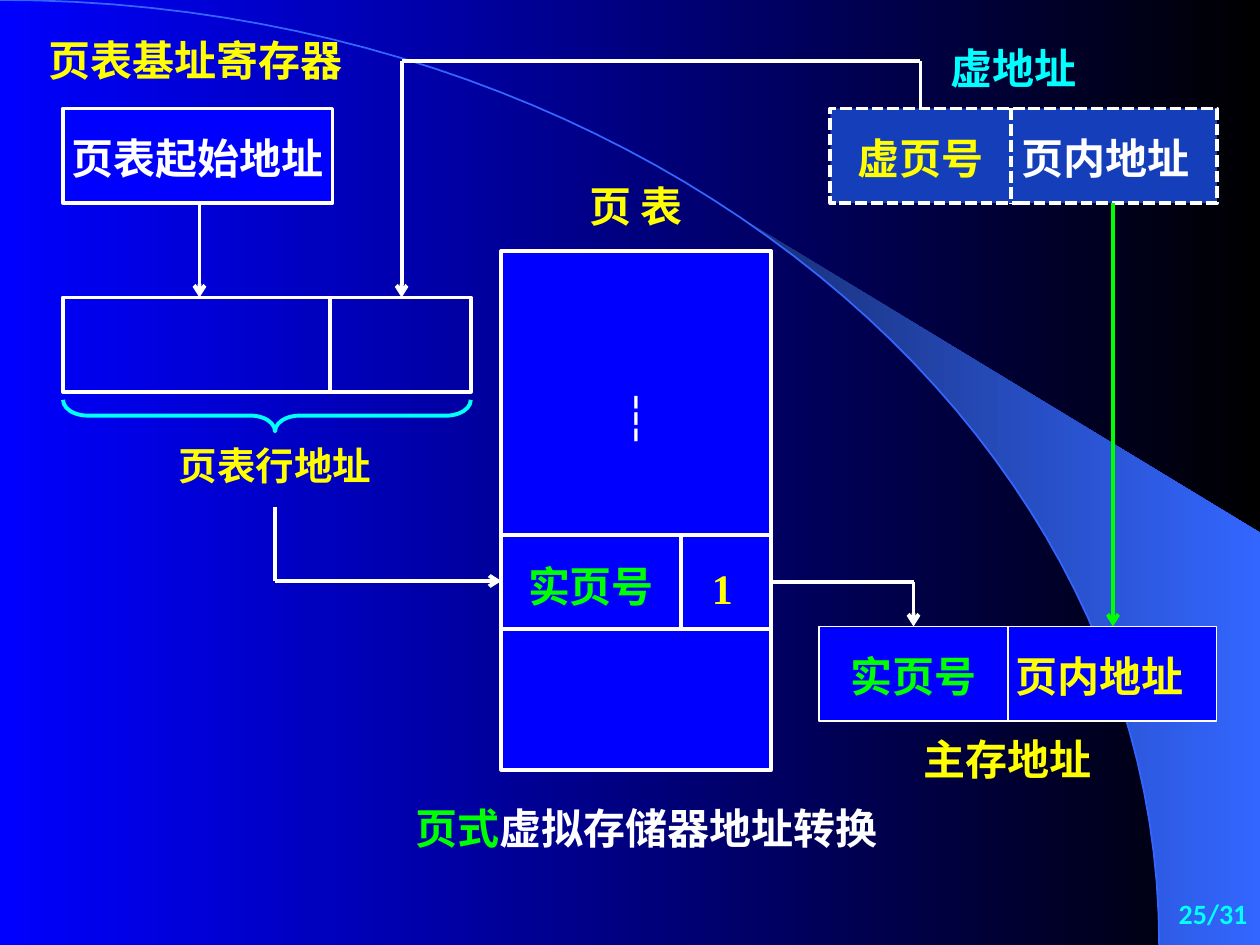
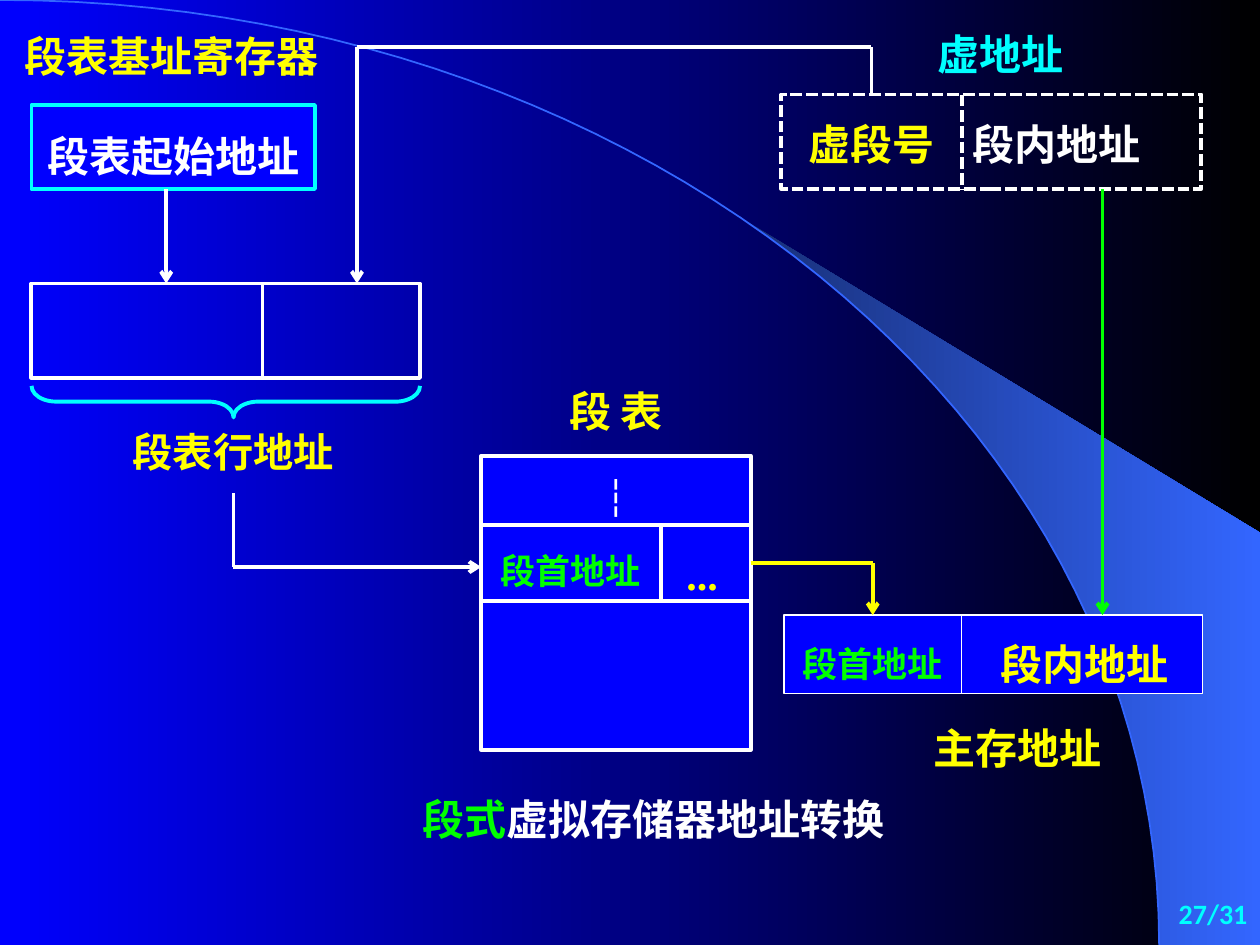
from lxml.etree import SubElement
from pptx import Presentation
from pptx.dml.color import RGBColor as RGB
from pptx.enum.dml import MSO_LINE
from pptx.enum.shapes import MSO_CONNECTOR, MSO_SHAPE
from pptx.enum.text import MSO_ANCHOR, MSO_AUTO_SIZE, PP_ALIGN
from pptx.oxml.ns import qn
from pptx.util import Pt


class Theme:
    blue, black, white = RGB(0, 0, 255), RGB(0, 0, 0), RGB(255, 255, 255)
    yellow, cyan, green = RGB(255, 255, 0), RGB(0, 255, 255), RGB(0, 255, 0)
    sky = RGB.from_string("3366FF")
    navy = RGB.from_string("182F76")
    steel = RGB.from_string("153FBA")
    latin, han, digits = "Times New Roman", "Noto Sans CJK SC", "Calibri"
    big, small, folio = 24, 20, 16
    thick, thin = Pt(2.25), Pt(0.75)


T = Theme
WIDE, HIGH = 720, 540
CELL = 54  # height of an address field, and the gap below the register

# Places are left, top, width, height; splits and taps are x positions
PAGES = [
    dict(kind="页", entry="实页号", flag="1", folio="25/31", title=(369.5, 473),
         reg=(36, 62, 154, CELL), edge=T.white, sum_wide=233, sum_split=188.5,
         virt=(474.5, 62, 221, CELL), tint=T.steel, split=577.5, virt_name=579,
         table=(286.5, 143.5, 154, 296.5), row=(305.5, 359.5), row_split=389, dots=238,
         real=(468, 358, 227, CELL), real_split=576, real_name=(575.5, 433.5),
         taps=(114, 229.5, 636), drop=1, sink=2, shift=-7,
         entry_size=T.big, line_size=22, dots_size=T.big),
    dict(kind="段", entry="段首地址", flag="...", folio="27/31", title=(373.5, 468),
         reg=(18, 60, 162, 48), edge=T.cyan, sum_wide=222, sum_split=150,
         virt=(446.5, 54, 240, CELL), tint=None, split=549.5, virt_name=572,
         table=(275, 260.5, 154, 168), row=(300, 343.5), row_split=377.5, dots=284,
         real=(448, 351.5, 239, 45), real_split=549.5, real_name=(581.5, 427.5),
         taps=(95, 204, 630), drop=5, sink=4.5, shift=1.5,
         entry_size=T.small, line_size=23, dots_size=T.small),
]


def put(shape, text, colour, size, right=0, down=0, font=T.latin):
    """Write one centred bold paragraph, shifted by uneven margins."""
    frame = shape.text_frame
    frame.auto_size = MSO_AUTO_SIZE.NONE
    frame.word_wrap = True
    frame.vertical_anchor = MSO_ANCHOR.MIDDLE
    frame.margin_left, frame.margin_right = Pt(max(0, 2 * right)), Pt(max(0, -2 * right))
    frame.margin_top, frame.margin_bottom = Pt(2 * down), 0
    para = frame.paragraphs[0]
    para.alignment = PP_ALIGN.CENTER
    para.add_run().text = text
    para.font.size, para.font.bold, para.font.name = Pt(size), True, font
    para.font.color.rgb = colour
    SubElement(para.font._element, qn("a:ea"), typeface=T.han)
    return para


def link(shapes, colour, mark, *spots):
    """Join the points with straight lines; an arrow ends the last one."""
    for start, end in zip(spots, spots[1:]):
        line = shapes.add_connector(MSO_CONNECTOR.STRAIGHT, *map(Pt, start + end))
        line.line.color.rgb, line.line.width = colour, T.thick
        if mark == "dash":
            line.line.dash_style = MSO_LINE.SQUARE_DOT
        if mark == "arrow" and end == spots[-1]:
            SubElement(line.line._get_or_add_ln(), qn("a:tailEnd"), type="arrow")
        SubElement(line._element.spPr, qn("a:effectLst"))


deck = Presentation()
deck.slide_width, deck.slide_height = Pt(WIDE), Pt(HIGH)
layout = deck.slide_layouts[5]
slides = [deck.slides.add_slide(layout) for _ in PAGES]

# Shared backdrop, kept on the master
master = deck.slide_master
back = master.background.fill
back.gradient()
back.gradient_angle = 0
for stop, colour in zip(back.gradient_stops, (T.blue, T.black)):
    stop.color.rgb = colour

# A quarter-oval Bezier curve; the beam fills the space to its right
reach, bend, fall = 662.4, 365.8, 241.2
curve = []
for n in range(51):
    t = n / 50
    near, far = 3 * t * (1 - t) ** 2, 3 * t * t * (1 - t)
    curve.append((near * bend + (far + t ** 3) * reach, far * fall + t ** 3 * HIGH))
beam = [(WIDE, HIGH), (WIDE, 304.5)] + curve[22:]
for rank, spots in enumerate((beam, curve)):
    dots = [(Pt(x), Pt(y)) for x, y in spots]
    pen = slides[0].shapes.build_freeform(*dots[0])
    pen.add_line_segments(dots[1:], close=spots is beam)
    form = pen.convert_to_shape()
    form.shadow.inherit = False
    if spots is beam:
        form.line.fill.background()
        form.fill.gradient()
        form.fill.gradient_angle = 0
        for stop, colour in zip(form.fill.gradient_stops, (T.navy, T.sky)):
            stop.color.rgb = colour
    else:
        form.fill.background()
        form.line.color.rgb, form.line.width = T.sky, Pt(1)
    form._element.nvSpPr.cNvPr.id = 20 + rank
    master.shapes._spTree.insert(2 + rank, form._element)

for slide, page in zip(slides, PAGES):
    shapes = slide.shapes
    kind, entry, drop, sink = (page[k] for k in ("kind", "entry", "drop", "sink"))
    reg, virt, table, real = (page[k] for k in ("reg", "virt", "table", "real"))
    split, cut, part = page["split"], page["real_split"], page["row_split"]
    size = page["entry_size"]

    # Rules that place everything else
    reg_x, reg_y, reg_w, reg_h = reg
    reg_end = reg_y + reg_h
    sum_y, sum_w = reg_end + CELL, page["sum_wide"]
    sum_end = sum_y + CELL
    tip = reg_x + 0.52 * sum_w
    virt_x, virt_y = virt[:2]
    virt_end, virt_mid = virt_y + CELL, virt_y + CELL / 2
    tab_x, tab_y, tab_w, _ = table
    tab_end, tab_mid = tab_x + tab_w, tab_x + tab_w / 2
    top, low = page["row"]
    mid = (top + low) / 2
    real_x, real_y, real_w, real_h = real
    into = (real_x + cut) / 2
    down, over, drip = page["taps"]

    # Boxes: place, fill, edge, width, dashed, words
    boxes = [
        (reg, T.blue, page["edge"], T.thick, False,
         (f"{kind}表起始地址", T.white, T.big, 0, drop)),
        ((reg_x, sum_y, sum_w, CELL), None, T.white, T.thick, False, ()),
        (virt, page["tint"], T.white, T.thick, True, ()),
        (table, T.blue, T.white, T.thick, False, ()),
        ((real_x, real_y, cut - real_x, real_h), T.blue, T.white, T.thin, False,
         (entry, T.green, size, 0, drop)),
        ((cut, real_y, real_x + real_w - cut, real_h), T.blue, T.white, T.thin, False,
         (f"{kind}内地址", T.yellow, T.big, page["shift"], drop)),
    ]
    for place, fill, edge, width, dashed, words in boxes:
        box = shapes.add_shape(MSO_SHAPE.RECTANGLE, *map(Pt, place))
        box.shadow.inherit = False
        box.line.color.rgb, box.line.width = edge, width
        if dashed:
            box.line.dash_style = MSO_LINE.SQUARE_DOT
        if fill is None:
            box.fill.background()
        else:
            box.fill.solid()
            box.fill.fore_color.rgb = fill
        if words:
            put(box, *words)

    # Labels: centre point, text, colour, size
    labels = [
        ((reg_x + reg_w / 2 - 1, reg_y - 28), f"{kind}表基址寄存器", T.yellow, T.big),
        ((page["virt_name"], virt_y - 23.5), "虚地址", T.cyan, T.big),
        (((virt_x + split) / 2, virt_mid + 1), f"虚{kind}号", T.yellow, T.big),
        ((split + CELL, virt_mid + 1), f"{kind}内地址", T.white, T.big),
        ((tab_mid, tab_y - 26), f"{kind} 表", T.yellow, T.big),
        ((tip, sum_end + 42), f"{kind}表行地址", T.yellow, page["line_size"]),
        ((tab_mid, page["dots"]), "┆", T.white, page["dots_size"]),
        (((tab_x + part) / 2, mid + sink), entry, T.green, size),
        (((part + tab_end) / 2 - 2, mid + sink + 1.5), page["flag"], T.yellow, T.big),
        (page["real_name"], "主存地址", T.yellow, T.big),
    ]
    wide, high = 180, 36
    for (x, y), *words in labels:
        spot = x - wide / 2, y - high / 2, wide, high
        put(shapes.add_textbox(*map(Pt, spot)), *words)

    title, (x, y) = shapes.title, page["title"]
    title.left, title.top = Pt(x - 140), Pt(y - high / 2)
    title.width, title.height = Pt(280), Pt(high)
    rest = put(title, f"{kind}式", T.green, T.big).add_run()
    rest.text = "虚拟存储器地址转换"
    rest.font.color.rgb = T.white

    # The brace is drawn upright around its centre, then turned
    deep = 18
    spot = (reg_x + (sum_w - deep) / 2, sum_end + 4.5 + (deep - sum_w) / 2, deep, sum_w)
    brace = shapes.add_shape(MSO_SHAPE.RIGHT_BRACE, *map(Pt, spot))
    brace.rotation = 90
    brace.adjustments[0], brace.adjustments[1] = 0.78, 0.48
    brace.shadow.inherit = False
    brace.fill.background()
    brace.line.color.rgb, brace.line.width = T.cyan, T.thick

    # Dividers
    link(shapes, T.white, "", (page["sum_split"], sum_y), (page["sum_split"], sum_end))
    link(shapes, T.white, "dash", (split, virt_y), (split, virt_end))
    for y in (top, low):
        link(shapes, T.white, "", (tab_x, y), (tab_end, y))
    link(shapes, T.white, "", (part, top), (part, low))

    # Address flow
    link(shapes, T.white, "arrow", (down, reg_end), (down, sum_y))
    lead, bus = (virt_x + split) / 2, virt_y - CELL / 2
    link(shapes, T.white, "arrow", (lead, virt_y), (lead, bus), (over, bus), (over, sum_y))
    turn = sum_end + 2 * CELL
    link(shapes, T.white, "arrow", (tip, sum_end + 66), (tip, turn), (tab_x, turn))
    hue = T.white if kind == "页" else T.yellow
    link(shapes, hue, "arrow", (tab_end, mid), (into, mid), (into, real_y))
    link(shapes, T.green, "arrow", (drip, virt_end), (drip, real_y))

    folio = shapes.add_textbox(Pt(570), Pt(504), Pt(142.8), Pt(high))
    put(folio, page["folio"], T.cyan, T.folio, font=T.digits).alignment = PP_ALIGN.RIGHT

deck.save("out.pptx")
